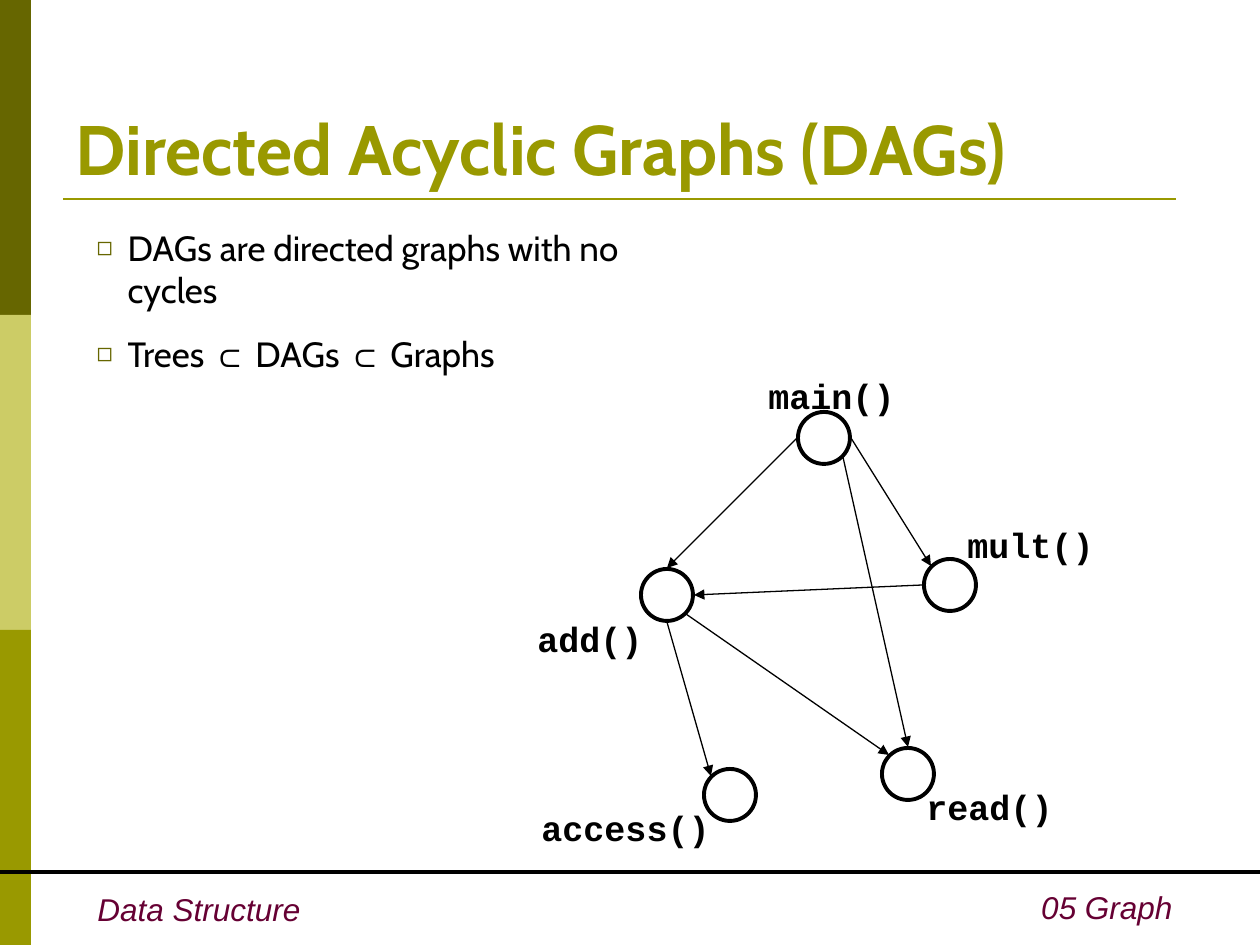
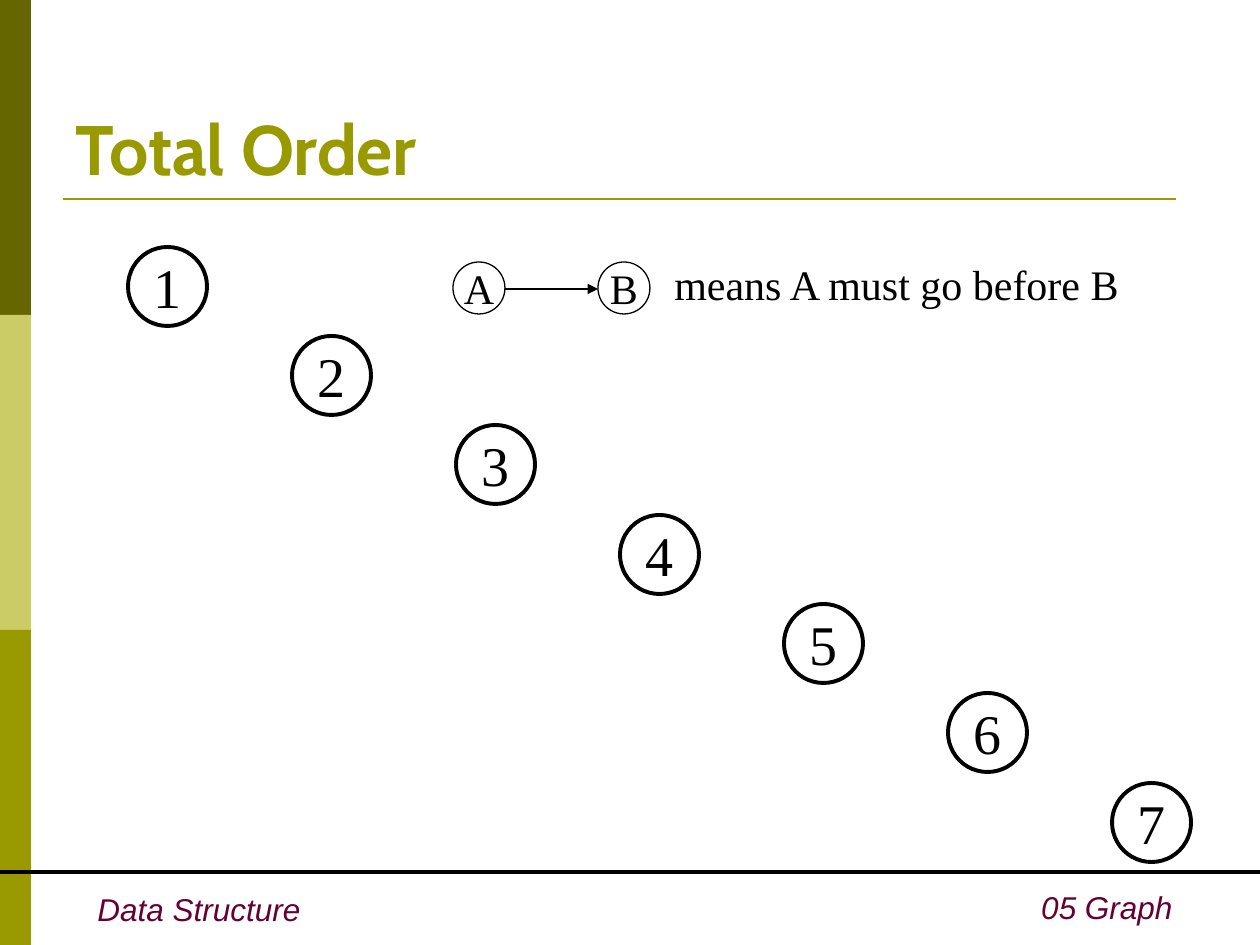
"""Build two lecture slides on directed acyclic graphs and total order."""
from dataclasses import dataclass
from math import hypot

from lxml import etree
from pptx import Presentation, util as u
from pptx.dml.color import RGBColor
from pptx.enum import shapes, text
from pptx.oxml.ns import qn

PIXEL = 914400 / 126

BLACK = RGBColor(0, 0, 0)
WHITE = RGBColor(255, 255, 255)
DARK_OLIVE = RGBColor(0x66, 0x66, 0x00)
PALE_OLIVE = RGBColor(0xCC, 0xCC, 0x66)
OLIVE = RGBColor(0x99, 0x99, 0x00)
PLUM = RGBColor(0x66, 0x00, 0x33)

THICK, RULE, THIN = 2.24, 1.5, 0.74

TITLE_FONT = dict(name="Cabin", size=u.Pt(40), bold=True)
BODY_FONT = dict(name="Cabin", size=u.Pt(20))
SYMBOL_FONT = dict(name="Arial", size=u.Pt(20))
FOOTER_FONT = dict(name="Arial", size=u.Pt(18), italic=True)
CODE_FONT = dict(name="Courier New", size=u.Pt(20), bold=True)
NUMBER_FONT = dict(name="Times New Roman", size=u.Pt(32))
LEGEND_FONT = dict(name="Times New Roman", size=u.Pt(24))

SUBSET = "\u2282"
BULLETS = ["DAGs are directed graphs with no cycles",
           f"Trees {SUBSET} DAGs {SUBSET} Graphs"]

NODE_SIZE = 52
NUMBER_SIZE = 79
SIDES = dict(top=(0, -1), left=(-1, 0), bottom=(0, 1), right=(1, 0),
             top_left=(-1, -1), bottom_right=(1, 1))


@dataclass(frozen=True)
class Box:
    """A rectangle in pixels."""
    left: int
    top: int
    width: int
    height: int

    def emu(self) -> list:
        """Return left, top, width and height in EMU."""
        return [px(v) for v in (self.left, self.top, self.width, self.height)]


@dataclass(frozen=True)
class Node:
    """A function in the call graph, with its label."""
    name: str
    left: int
    top: int
    label: Box

    def port(self, side: str) -> tuple:
        """Return the point just outside the circle on the given side."""
        dx, dy = SIDES[side]
        centre, reach = NODE_SIZE / 2, (NODE_SIZE / 2 + 1) / hypot(dx, dy)
        return (round(self.left + centre + dx * reach),
                round(self.top + centre + dy * reach))


@dataclass(frozen=True)
class Call:
    """An arrow from one function to another."""
    caller: str
    exit_side: str
    callee: str
    entry_side: str


NODES = [
    Node("main", 798, 412, Box(756, 368, 156, 55)),
    Node("add", 641, 569, Box(525, 611, 136, 55)),
    Node("access", 704, 769, Box(529, 800, 198, 55)),
    Node("mult", 924, 559, Box(955, 517, 156, 55)),
    Node("read", 882, 748, Box(914, 779, 156, 55)),
]
CALLS = [
    Call("main", "left", "add", "top"),
    Call("main", "right", "mult", "top_left"),
    Call("main", "bottom_right", "read", "top"),
    Call("add", "bottom", "access", "top_left"),
    Call("mult", "left", "add", "right"),
    Call("add", "bottom_right", "read", "top_left"),
]


def px(value: float) -> int:
    """Turn pixels into EMU."""
    return u.Emu(round(value * PIXEL))


def set_values(target, values: dict) -> None:
    """Set every attribute named in a dict of format values."""
    for name, value in values.items():
        setattr(target, name, value)


def add_span(para, wording: str, font: dict, color: RGBColor = BLACK) -> None:
    """Append formatted text to a paragraph."""
    span = para.add_run()
    span.text = wording
    set_values(span.font, font)
    span.font.color.rgb = color


def add_text(page, box: Box, wording: str, font: dict, color=BLACK,
             align=text.PP_ALIGN.LEFT, wrap=False) -> None:
    """Add a one-line text box."""
    frame = page.shapes.add_textbox(*box.emu()).text_frame
    set_values(frame, dict(word_wrap=wrap, auto_size=text.MSO_AUTO_SIZE.NONE))
    para = frame.paragraphs[0]
    para.alignment = align
    add_span(para, wording, font, color)


def add_band(page, box: Box, color: RGBColor) -> None:
    """Add a plain filled rectangle."""
    band = page.shapes.add_shape(shapes.MSO_SHAPE.RECTANGLE, *box.emu())
    band.shadow.inherit = False
    band.fill.solid()
    band.fill.fore_color.rgb = color
    band.line.fill.background()


def add_circle(page, left: int, top: int, size: int, weight: float,
               wording: str = "", font: dict = LEGEND_FONT) -> None:
    """Add a white outlined circle with optional centred text."""
    circle = page.shapes.add_shape(shapes.MSO_SHAPE.OVAL,
                                   *Box(left, top, size, size).emu())
    circle.shadow.inherit = False
    circle.fill.solid()
    circle.fill.fore_color.rgb = WHITE
    circle.line.color.rgb = BLACK
    circle.line.width = u.Pt(weight)
    if wording:
        frame = circle.text_frame
        set_values(frame, dict(word_wrap=False,
                               vertical_anchor=text.MSO_ANCHOR.MIDDLE))
        para = frame.paragraphs[0]
        para.alignment = text.PP_ALIGN.CENTER
        add_span(para, wording, font)


def add_line(page, start: tuple, end: tuple, weight: float,
             color: RGBColor = BLACK, arrow: bool = False) -> None:
    """Add a straight line, with an arrowhead at its end if wanted."""
    line = page.shapes.add_connector(shapes.MSO_CONNECTOR.STRAIGHT,
                                     *[px(v) for v in (*start, *end)])
    line.line.color.rgb = color
    line.line.width = u.Pt(weight)
    properties = line._element.spPr
    if arrow:
        etree.SubElement(properties.find(qn("a:ln")), qn("a:tailEnd"),
                         type="triangle")
    etree.SubElement(properties, qn("a:effectLst"))


def place(holder, box: Box, anchor) -> None:
    """Move a placeholder and set how its text sits."""
    names = ("left", "top", "width", "height")
    set_values(holder, dict(zip(names, box.emu())))
    set_values(holder.text_frame, dict(
        word_wrap=True, vertical_anchor=anchor,
        auto_size=text.MSO_AUTO_SIZE.NONE))


def add_bullet(para) -> None:
    """Give a paragraph a small square bullet with a hanging indent."""
    properties = para._p.get_or_add_pPr()
    indent = px(31)
    properties.set("marL", str(indent))
    properties.set("indent", str(-indent))
    color = etree.SubElement(properties, qn("a:buClr"))
    etree.SubElement(color, qn("a:srgbClr"), val=str(DARK_OLIVE))
    etree.SubElement(properties, qn("a:buSzPct"), val="75000")
    etree.SubElement(properties, qn("a:buChar"), char="\u25fb")


def fill_list(holder, items: list) -> None:
    """Write the bullet list, with set symbols in their own font."""
    frame = holder.text_frame
    for index, item in enumerate(items):
        para = frame.add_paragraph() if index else frame.paragraphs[0]
        para.space_before = u.Pt(12.5)
        add_bullet(para)
        before, *rest = item.split(SUBSET)
        add_span(para, before, BODY_FONT)
        for part in rest:
            add_span(para, SUBSET, SYMBOL_FONT)
            add_span(para, part, BODY_FONT)


def add_page(deck, layout: int, title: str):
    """Add a slide with the shared bands, rules, footers and title."""
    page = deck.slides.add_slide(deck.slide_layouts[layout])
    for index, color in enumerate((DARK_OLIVE, PALE_OLIVE, OLIVE)):
        add_band(page, Box(0, 315 * index, 31, 315), color)
    add_line(page, (63, 199), (1176, 199), RULE, OLIVE)
    add_text(page, Box(85, 884, 232, 50), "Data Structure", FOOTER_FONT, PLUM)
    add_text(page, Box(660, 882, 525, 50), "05 Graph", FOOTER_FONT, PLUM,
             text.PP_ALIGN.RIGHT, wrap=True)
    add_line(page, (0, 872), (1260, 872), THICK)
    heading = page.shapes.title
    place(heading, Box(63, 38, 1134, 158), text.MSO_ANCHOR.BOTTOM)
    para = heading.text_frame.paragraphs[0]
    para.alignment = text.PP_ALIGN.LEFT
    add_span(para, title, TITLE_FONT, OLIVE)
    return page


def build_dag_page(deck) -> None:
    """Build the call graph slide."""
    page = add_page(deck, 1, "Directed Acyclic Graphs (DAGs)")
    body = page.placeholders[1]
    place(body, Box(84, 220, 588, 242), text.MSO_ANCHOR.TOP)
    fill_list(body, BULLETS)
    for node in NODES:
        add_circle(page, node.left, node.top, NODE_SIZE, THICK)
        add_text(page, node.label, f"{node.name}()", CODE_FONT)
    by_name = {node.name: node for node in NODES}
    for call in CALLS:
        add_line(page, by_name[call.caller].port(call.exit_side),
                 by_name[call.callee].port(call.entry_side), THIN, arrow=True)


def build_order_page(deck) -> None:
    """Build the slide with seven numbers in a descending row."""
    page = add_page(deck, 5, "Total Order")
    for index in range(7):
        add_circle(page, 128 + 164 * index, 247 + 268 * index // 3,
                   NUMBER_SIZE, THICK, str(index + 1), NUMBER_FONT)
    for letter, left in (("A", 453), ("B", 598)):
        add_circle(page, left, 262, NODE_SIZE, THIN, letter)
    add_line(page, (505, 289), (598, 289), THIN, arrow=True)
    add_text(page, Box(662, 252, 478, 63), "means A must go before B",
             LEGEND_FONT)


def main() -> None:
    """Build and save the deck."""
    deck = Presentation()
    deck.slide_width, deck.slide_height = px(1260), px(945)
    build_dag_page(deck)
    build_order_page(deck)
    deck.save("out.pptx")


main()
